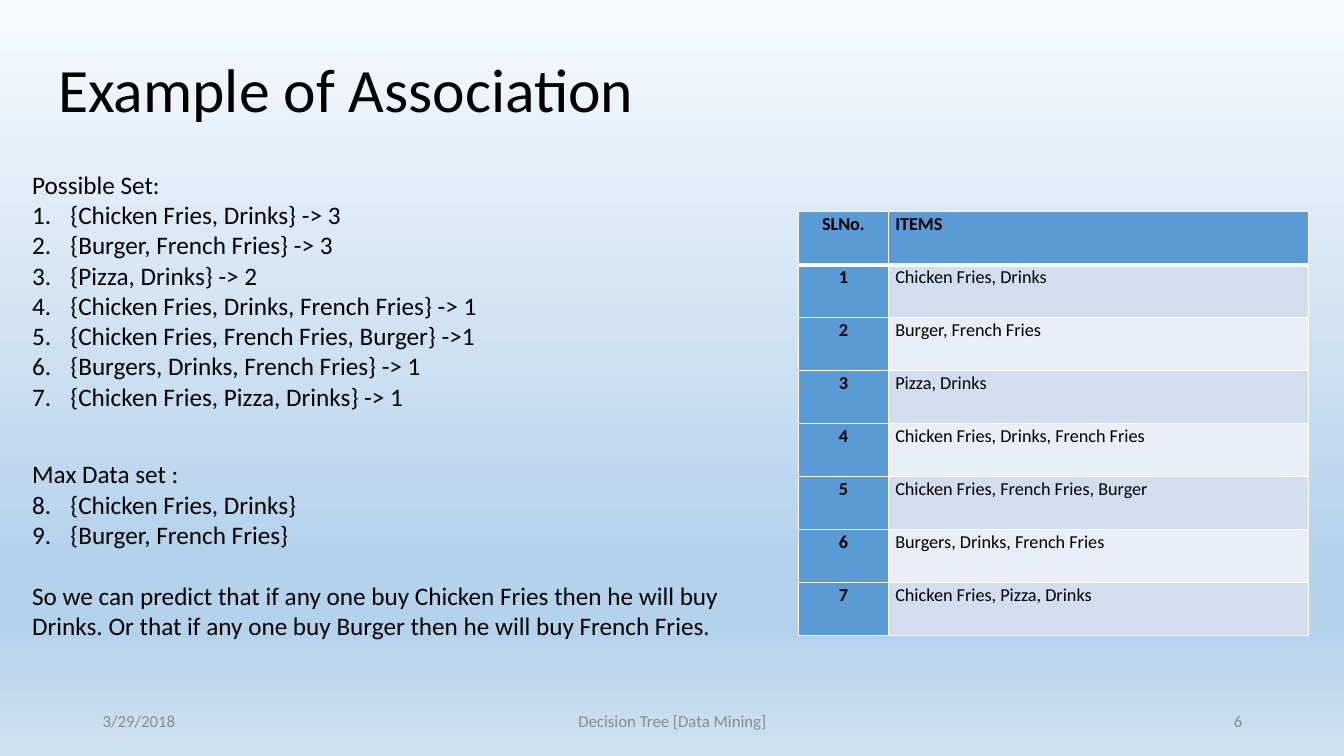
from copy import deepcopy
from lxml.etree import SubElement
from pptx import Presentation
from pptx.dml.color import RGBColor
from pptx.enum.text import MSO_ANCHOR, PP_ALIGN
from pptx.oxml.ns import qn
from pptx.util import Inches, Pt


def rgb(value):
    return RGBColor.from_string(value)


def add_run(p, text, size, color="000000", bold=False):
    r = p.add_run()
    r.text = text
    r.font.name = "Calibri"
    r.font.size = Pt(size)
    r.font.bold = bold
    r.font.color.rgb = rgb(color)


prs = Presentation()
prs.slide_width, prs.slide_height = Inches(13.33), Inches(7.5)
s = prs.slides.add_slide(prs.slide_layouts[6])

# Background gradient, light at the top
fill = s.background.fill
fill.gradient()
fill.gradient_angle = 270
stops = s.background._cSld.find(".//" + qn("a:gsLst"))
for stop in list(stops):
    stops.append(deepcopy(stop))
bands = [(0, "F7FAFD"), (0.74, "B5D2EC"), (0.83, "B5D2EC"), (1, "CEE1F2")]
for stop, (position, color) in zip(fill.gradient_stops, bands):
    stop.position = position
    stop.color.rgb = rgb(color)

# Title and footer
lines = [
    ("Example of Association", 0.48, 0.4, 11.94, 1.04, 44, "000000", PP_ALIGN.LEFT),
    ("3/29/2018", 0.92, 6.95, 3, 0.4, 12, "8C8C8C", PP_ALIGN.LEFT),
    ("Decision Tree [Data Mining]", 4.42, 6.95, 4.5, 0.4, 12, "8C8C8C", PP_ALIGN.CENTER),
    ("6", 9.42, 6.95, 3, 0.4, 12, "8C8C8C", PP_ALIGN.RIGHT),
]
for text, x, y, w, h, size, color, align in lines:
    tf = s.shapes.add_textbox(Inches(x), Inches(y), Inches(w), Inches(h)).text_frame
    tf.word_wrap = True
    tf.vertical_anchor = MSO_ANCHOR.MIDDLE
    p = tf.paragraphs[0]
    p.alignment = align
    p.line_spacing = 0.9 if size == 44 else 1.0
    add_run(p, text, size, color)

# Item sets: heading, gap above in points, first number, numbered items
sections = [
    ("Possible Set: ", 0, 1, [
        "{Chicken Fries, Drinks} -> 3",
        "{Burger, French Fries} -> 3",
        "{Pizza, Drinks} -> 2",
        "{Chicken Fries, Drinks, French Fries} -> 1",
        "{Chicken Fries, French Fries, Burger} ->1 ",
        "{Burgers, Drinks, French Fries} -> 1",
        "{Chicken Fries, Pizza, Drinks} -> 1 ",
    ]),
    ("Max Data set : ", 34, 8, ["{Chicken Fries, Drinks}", "{Burger, French Fries} "]),
    ("So we can predict that if any one buy Chicken Fries then he will buy Drinks. "
     "Or that if any one buy Burger then he will buy French Fries. ", 22, 10, []),
]
tf = s.shapes.add_textbox(Inches(0.22), Inches(1.63), Inches(7.39), Inches(5.72)).text_frame
tf.word_wrap = True
p = tf.paragraphs[0]
for heading, gap, first, items in sections:
    if gap:
        p = tf.add_paragraph()
    p.space_before = Pt(gap)
    add_run(p, heading, 18)
    for item in items:
        p = tf.add_paragraph()
        pPr = p._p.get_or_add_pPr()
        pPr.set("marL", str(Inches(0.38)))
        pPr.set("indent", str(-Inches(0.38)))
        SubElement(pPr, qn("a:buAutoNum"), type="arabicPeriod", startAt=str(first))
        add_run(p, item, 18)

# Transactions table
orders = [
    "Chicken Fries, Drinks ",
    "Burger, French Fries",
    "Pizza, Drinks",
    "Chicken Fries, Drinks, French Fries ",
    "Chicken Fries, French Fries, Burger ",
    "Burgers, Drinks, French Fries",
    "Chicken Fries, Pizza, Drinks",
]
rows = [("SLNo.", "ITEMS ")] + [(str(n), order) for n, order in enumerate(orders, 1)]
table = s.shapes.add_table(len(rows), 2, Inches(7.92), Inches(2.1),
                           Inches(5.06), Inches(4.21)).table
table.columns[0].width, table.columns[1].width = Inches(0.89), Inches(4.17)
for i, row in enumerate(rows):
    for j, text in enumerate(row):
        cell = table.cell(i, j)
        label = i == 0 or j == 0
        cell.margin_left = cell.margin_right = Inches(0.07)
        cell.margin_top = cell.margin_bottom = 0
        p = cell.text_frame.paragraphs[0]
        p.alignment = PP_ALIGN.LEFT if j else PP_ALIGN.CENTER
        p.line_spacing = 1.07
        add_run(p, text, 13, bold=label)
        # White borders, thicker under the header; they precede the fill
        tcPr = cell._tc.get_or_add_tcPr()
        for side in "LRTB":
            thick = (i, side) in [(0, "B"), (1, "T")]
            ln = SubElement(tcPr, qn("a:ln" + side), w=str(Pt(3 if thick else 1)))
            SubElement(SubElement(ln, qn("a:solidFill")), qn("a:srgbClr"), val="FFFFFF")
        cell.fill.solid()
        cell.fill.fore_color.rgb = rgb("5B9BD5" if label else "D2DEEF" if i % 2 else "EAEFF7")

prs.save("out.pptx")
